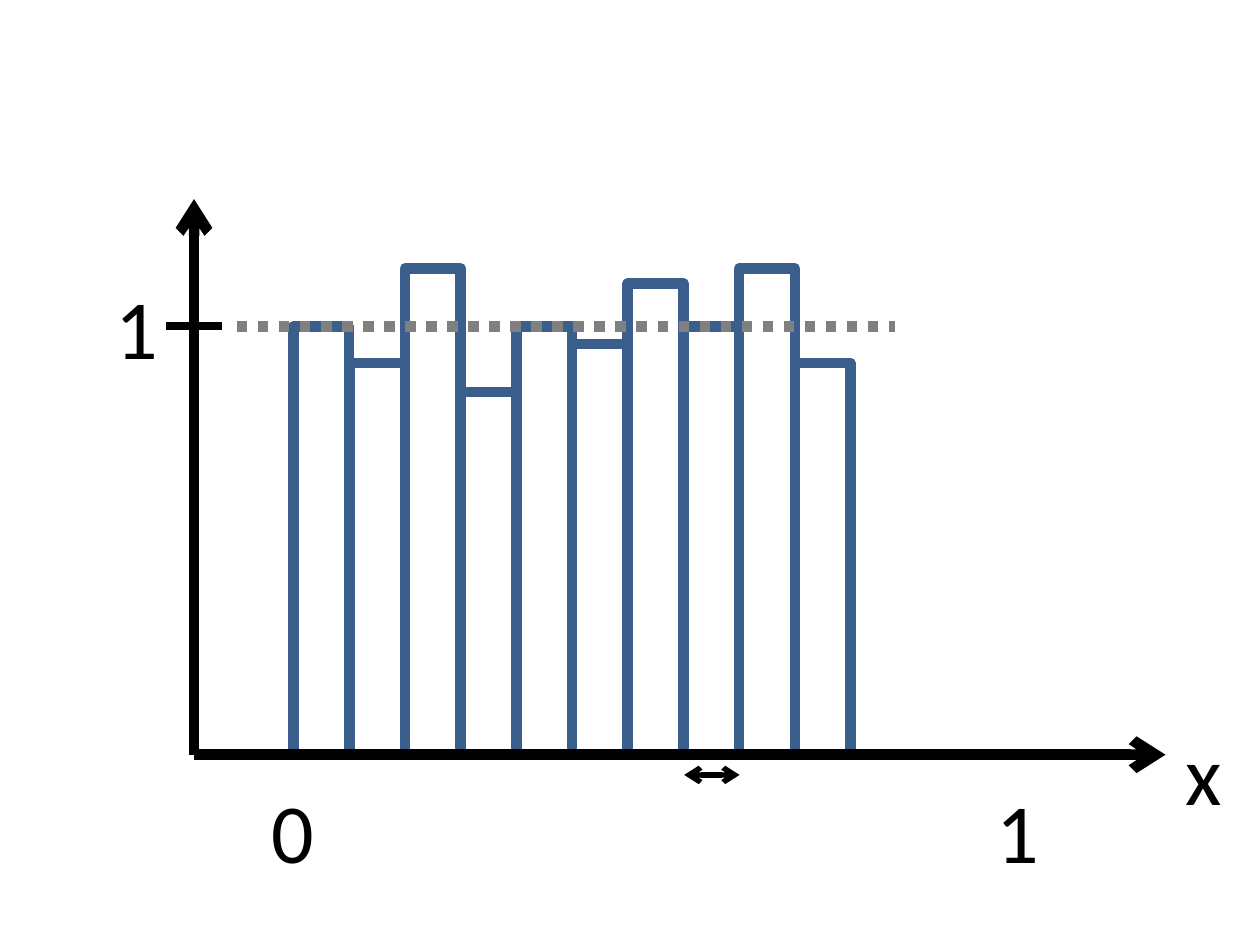
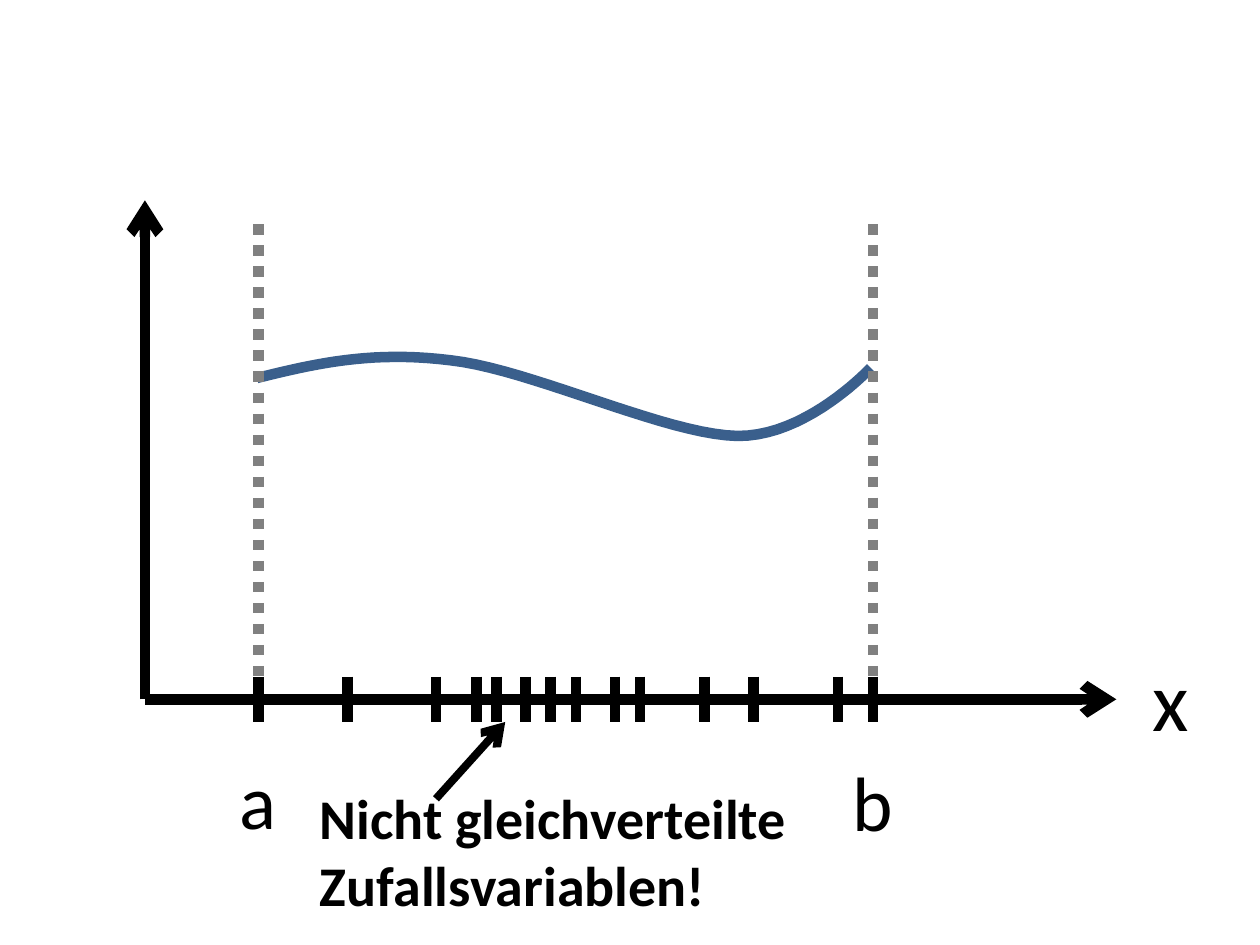
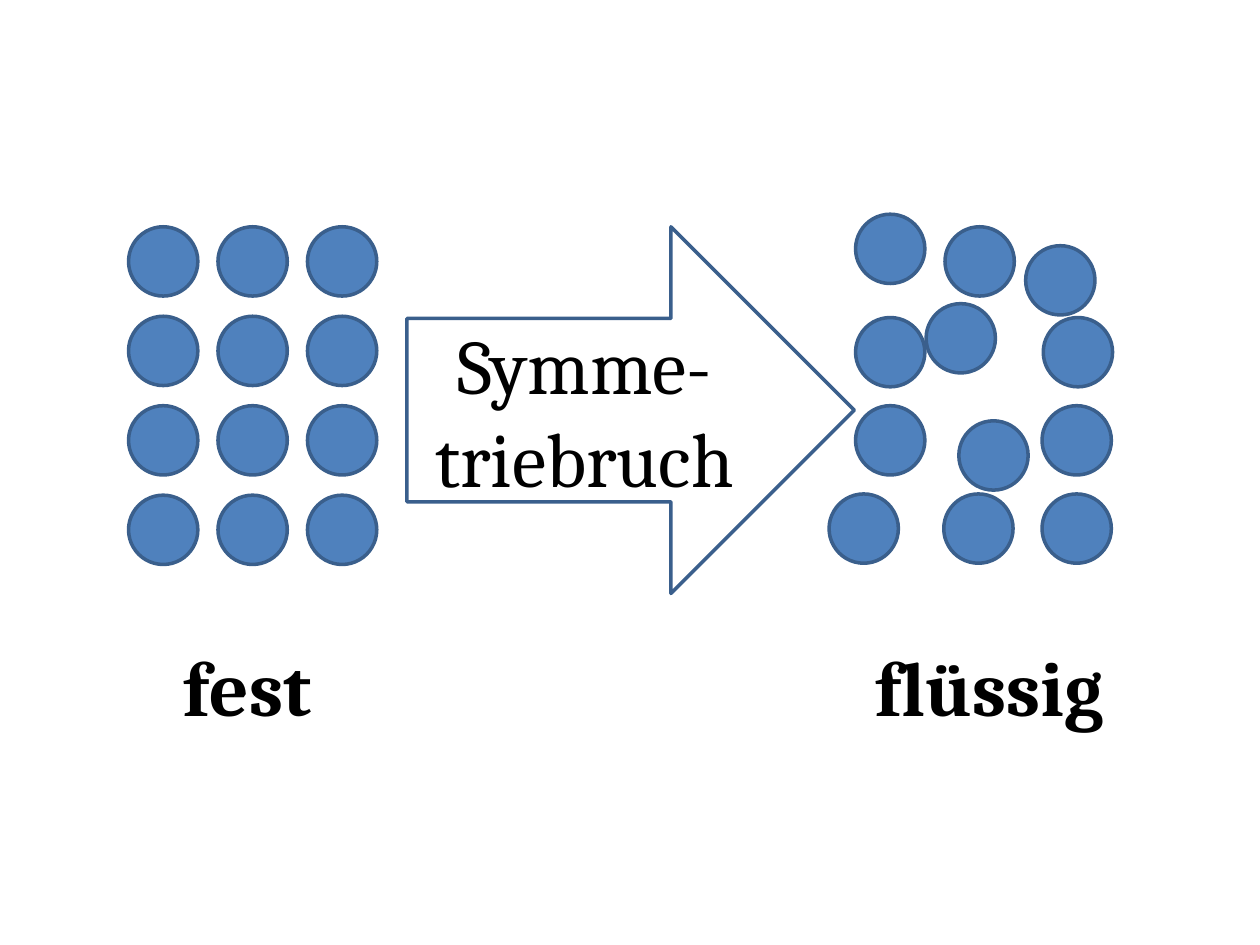
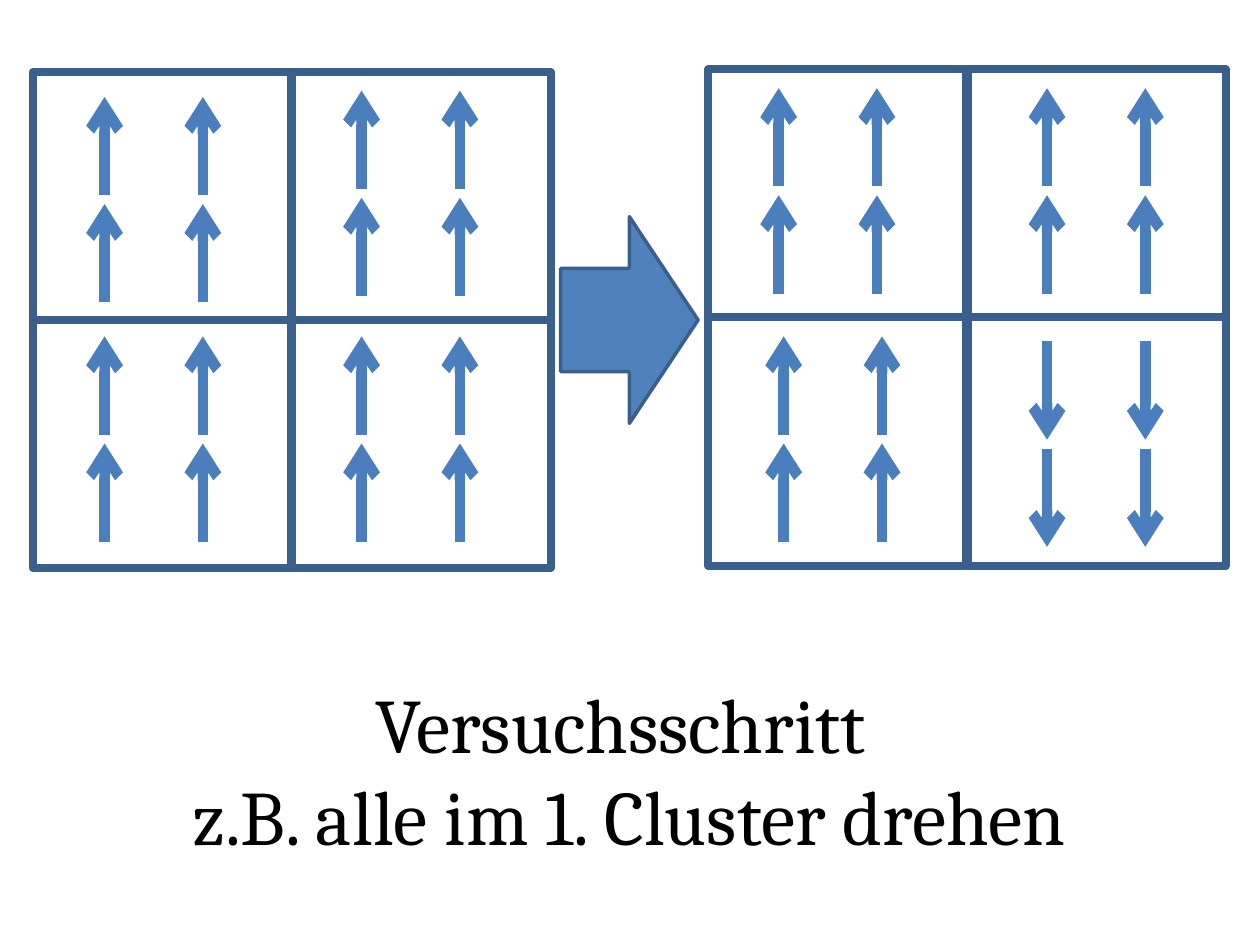
from lxml.etree import SubElement
from pptx import Presentation
from pptx.dml.color import RGBColor
from pptx.enum.dml import MSO_LINE
from pptx.enum.shapes import MSO_CONNECTOR, MSO_SHAPE
from pptx.enum.text import MSO_ANCHOR, MSO_AUTO_SIZE, PP_ALIGN
from pptx.oxml.ns import qn
from pptx.util import Inches, Pt

BLACK = "000000"
WHITE = "FFFFFF"
GREY = "808080"
BLUE = "4F81BD"
DARK_BLUE = "3A5F8C"
SPIN_BLUE = "4B7EBC"
THICK = 6
MEDIUM = 4.5
THIN = 2


def color(hex_code):
    return RGBColor.from_string(hex_code)


def bezier(start, control_1, control_2, end, steps=20):
    """Return the points of a cubic curve, without its start."""
    points = []
    for step in range(1, steps + 1):
        t = step / steps
        weights = ((1 - t) ** 3, 3 * t * (1 - t) ** 2, 3 * t ** 2 * (1 - t), t ** 3)
        corners = (start, control_1, control_2, end)
        points.append(tuple(sum(weight * corner[axis] for weight, corner in zip(weights, corners))
                            for axis in (0, 1)))
    return points


class Deck:
    """Holds the presentation, its style and the current slide."""

    def __init__(self):
        self.presentation = Presentation()
        self.presentation.slide_width = Inches(10)
        self.presentation.slide_height = Inches(7.5)
        self.slide = None

    def new_slide(self):
        self.slide = self.presentation.slides.add_slide(self.presentation.slide_layouts[6])

    def style(self, shape, fill, line_width):
        shape.shadow.inherit = False
        if fill:
            shape.fill.solid()
            shape.fill.fore_color.rgb = color(fill)
        else:
            shape.fill.background()
        shape.line.color.rgb = color(DARK_BLUE)
        shape.line.width = Pt(line_width)

    def set_text(self, text_frame, text, size, font, bold=False, align=None):
        text_frame.text = text
        for paragraph in text_frame.paragraphs:
            paragraph.alignment = align
            for run in paragraph.runs:
                run.font.name = font
                run.font.size = Pt(size)
                run.font.bold = bold
                run.font.color.rgb = color(BLACK)

    def shape(self, kind, left, top, width, height, fill=None, line_width=THIN):
        shape = self.slide.shapes.add_shape(
            kind, Inches(left), Inches(top), Inches(width), Inches(height))
        self.style(shape, fill, line_width)
        return shape

    def atom(self, left, top):
        self.shape(MSO_SHAPE.OVAL, left, top, 0.55, 0.55, BLUE)

    def curve(self, points):
        (start_x, start_y), *others = [(Inches(x), Inches(y)) for x, y in points]
        builder = self.slide.shapes.build_freeform(start_x, start_y)
        builder.add_line_segments(others, close=False)
        self.style(builder.convert_to_shape(), None, THICK)

    def line(self, start, end, line_color=BLACK, width=THICK, ends=(), dotted=False):
        """Draw a line; ends names the arrowheads, headEnd at start and tailEnd at end."""
        connector = self.slide.shapes.add_connector(
            MSO_CONNECTOR.STRAIGHT, *(Inches(value) for value in (*start, *end)))
        connector.line.color.rgb = color(line_color)
        connector.line.width = Pt(width)
        if dotted:
            connector.line.dash_style = MSO_LINE.ROUND_DOT
        properties = connector._element.spPr
        for end_name in ends:
            SubElement(properties.find(qn("a:ln")), qn(f"a:{end_name}"), type="arrow")
        SubElement(properties, qn("a:effectLst"))
        return connector

    def arrow(self, start, end, line_color=BLACK, width=THICK):
        return self.line(start, end, line_color, width, ends=["tailEnd"])

    def axes(self, left, base, top):
        self.arrow((left, base), (left, top))
        self.arrow((left, base), (left + 7.71, base))

    def text(self, text, left, top, width, height, size=44, font="Cambria",
             bold=False, align=None, wrap=False):
        box = self.slide.shapes.add_textbox(
            Inches(left), Inches(top), Inches(width), Inches(height))
        box.text_frame.word_wrap = wrap
        box.text_frame.auto_size = MSO_AUTO_SIZE.SHAPE_TO_FIT_TEXT
        self.set_text(box.text_frame, text, size, font, bold, align)

    def axis_label(self, text, left, top, width=0.54, height=0.91, size=48):
        self.text(text, left, top, width, height, size, "Calibri")

    def spin_cluster(self, left, top, down=False):
        """Draw two by two arrows of the same direction."""
        length = 0.78
        spins = []
        for row in range(2):
            for column in range(2):
                x, y = left + 0.78 * column, top + 0.85 * row
                ends = [(x, y + length), (x, y)]
                spins.append(self.arrow(*(reversed(ends) if down else ends), SPIN_BLUE))
        return spins

    def cluster_grid(self, left, top):
        for row in range(2):
            for column in range(2):
                self.shape(MSO_SHAPE.RECTANGLE, left + 2.06 * column, top + 1.97 * row,
                           2.05, 1.97, WHITE, MEDIUM)


def build_histogram(deck):
    deck.new_slide()
    base, level, first_bar, last_edge = 5.99, 2.59, 2.33, 6.75
    bar_tops = [level, 2.88, 2.13, 3.11, level, 2.73, 2.25, level, 2.13, 2.88]
    step = (last_edge - first_bar) / len(bar_tops)
    for index, top in enumerate(bar_tops):
        deck.shape(MSO_SHAPE.RECTANGLE, first_bar + step * index, top, step, base - top,
                   line_width=THICK)
    deck.line((1.88, level), (7.1, level), GREY, dotted=True)
    deck.axes(1.54, base, 1.58)
    deck.line((1.32, level), (1.76, level), width=MEDIUM)
    deck.line((5.43, 6.15), (5.87, 6.15), width=3, ends=["headEnd", "tailEnd"])
    deck.axis_label("1", 0.82, 2.14)
    deck.axis_label("0", 2.06, 6.14)
    deck.axis_label("1", 7.81, 6.14)
    deck.axis_label("x", 9.31, 5.68, 0.49)


def build_random_samples(deck):
    deck.new_slide()
    a, b, tick_top, tick_bottom = 2.05, 6.93, 5.37, 5.73
    start, crest, trough, end = (2.04, 3), (3.58, 2.86), (5.85, 3.46), (6.91, 2.92)
    deck.curve([start,
                *bezier(start, (2.49, 2.89), (2.94, 2.78), crest),
                *bezier(crest, (4.21, 2.93), (5.29, 3.45), trough),
                *bezier(trough, (6.4, 3.47), end, end)])
    deck.axes(1.15, 5.55, 1.59)
    for x in [a, 2.76, 3.46, 3.78, 3.94, 4.17, 4.37, 4.57, 4.88, 5.08, 5.59, 5.98, 6.65, b]:
        deck.line((x, tick_top), (x, tick_bottom))
    for limit in (a, b):
        deck.line((limit, 1.78), (limit, tick_top), GREY, dotted=True)
    deck.axis_label("x", 9.05, 5.09, 0.49)
    deck.axis_label("a", 1.8, 5.92, 0.5, 0.84, 44)
    deck.axis_label("b", 6.67, 5.94, 0.53, 0.84, 44)
    deck.text("Nicht gleichverteilte Zufallsvariablen!", 2.44, 6.17, 4.23, 1.18,
              32, "Calibri", bold=True, wrap=True)
    deck.arrow((3.46, 6.34), (4.01, tick_bottom), width=MEDIUM)


def build_symmetry_breaking(deck):
    deck.new_slide()
    pitch = 0.71
    for row in range(4):
        for column in range(3):
            deck.atom(1.02 + pitch * column, 1.8 + pitch * row)
    liquid_atoms = [(6.79, 1.7), (7.5, 1.8), (8.14, 1.95),
                    (6.79, 2.52), (7.35, 2.41), (8.28, 2.52),
                    (6.79, 3.22), (7.61, 3.34), (8.27, 3.22),
                    (6.58, 3.92), (7.49, 3.92), (8.27, 3.92)]
    for left, top in liquid_atoms:
        deck.atom(left, top)
    deck.text("fest", 1.36, 5.03, 1.29, 0.84, bold=True)
    deck.text("flüssig", 6.85, 5.03, 2.12, 0.84, bold=True)
    transition = deck.shape(MSO_SHAPE.RIGHT_ARROW, 3.23, 1.8, 3.55, 2.91)
    transition.text_frame.word_wrap = True
    transition.text_frame.vertical_anchor = MSO_ANCHOR.MIDDLE
    deck.set_text(transition.text_frame, "Symme-triebruch", 44, "Cambria",
                  align=PP_ALIGN.CENTER)


def build_cluster_step(deck):
    deck.new_slide()
    deck.cluster_grid(0.26, 0.57)
    deck.cluster_grid(5.62, 0.55)
    clusters_before = [(0.83, 0.77), (2.87, 0.72), (0.83, 2.67), (2.87, 2.67)]
    clusters_kept = [(6.18, 0.7), (6.22, 2.67), (8.31, 0.7)]
    for left, top in clusters_before + clusters_kept:
        deck.spin_cluster(left, top)
    deck.slide.shapes.add_group_shape(deck.spin_cluster(8.31, 2.71, down=True))
    deck.shape(MSO_SHAPE.RIGHT_ARROW, 4.45, 1.72, 1.09, 1.64, BLUE)
    deck.text("Versuchsschritt \nz.B. alle im 1. Cluster drehen", 0.93, 5.32, 8.13, 1.58,
              align=PP_ALIGN.CENTER)


def main():
    deck = Deck()
    build_histogram(deck)
    build_random_samples(deck)
    build_symmetry_breaking(deck)
    build_cluster_step(deck)
    deck.presentation.save("out.pptx")


if __name__ == "__main__":
    main()
